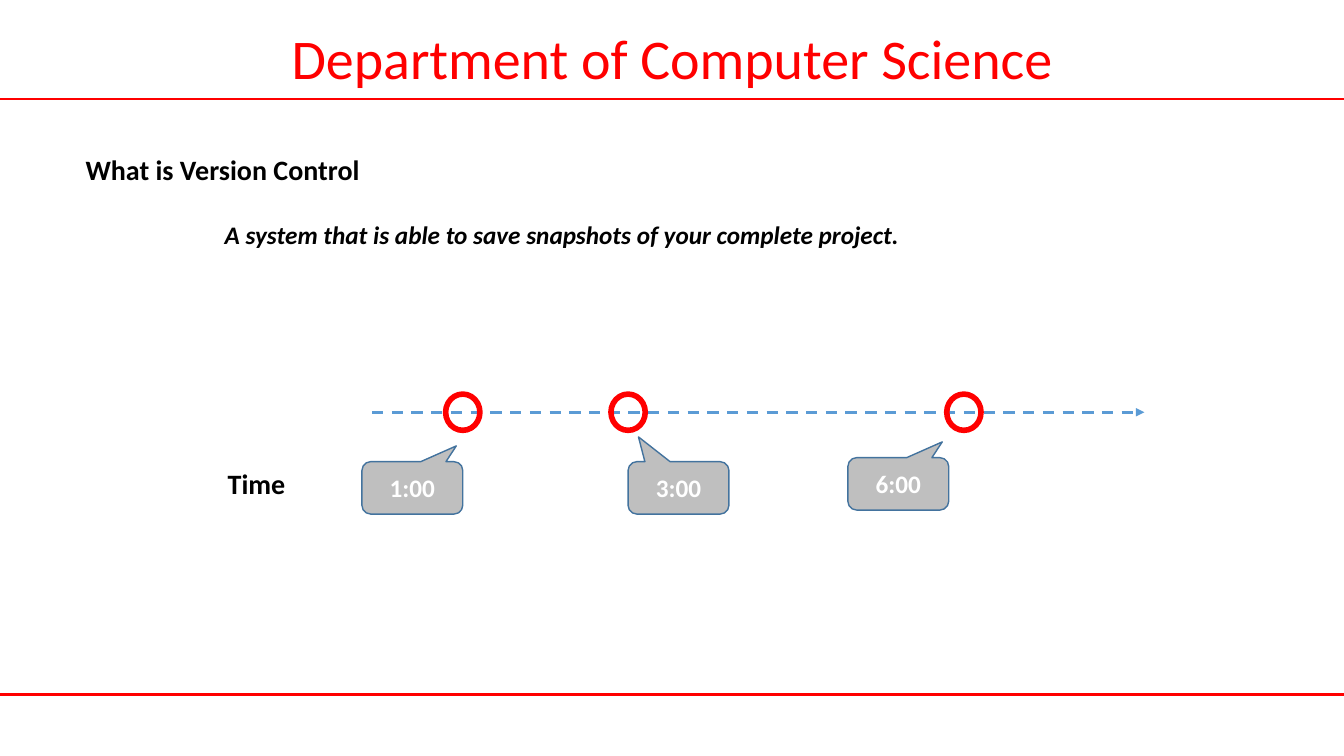
from lxml import etree
from pptx import Presentation
from pptx.dml.color import RGBColor
from pptx.enum.dml import MSO_LINE_DASH_STYLE as DASH
from pptx.enum.shapes import MSO_CONNECTOR, MSO_SHAPE
from pptx.enum.text import MSO_ANCHOR, MSO_AUTO_SIZE, PP_ALIGN
from pptx.oxml.ns import qn
from pptx.util import Inches, Pt

COLORS = {
    "red": "FF0000",
    "black": "000000",
    "white": "FFFFFF",
    "timeline": "5B9BD5",
    "callout": "BFBFBF",
    "callout_edge": "43739E",
}
PAGE_WIDTH = 13.33
TIMELINE_Y = 4.09
MARKER_WIDTH, MARKER_HEIGHT = 0.34, 0.36
POINT_LEFT = (-0.397, -0.973, 0.167)
POINT_RIGHT = (0.436, -0.801, 0.167)
# marker left, callout left, callout top, time, callout pointer
SNAPSHOTS = [
    (4.42, 3.59, 4.58, "1:00", POINT_RIGHT),
    (6.06, 6.23, 4.58, "3:00", POINT_LEFT),
    (9.39, 8.41, 4.54, "6:00", POINT_RIGHT),
]


def color(name):
    return RGBColor.from_string(COLORS[name])


def style_line(line, name, width):
    line.color.rgb = color(name)
    line.width = Pt(width)


def write(frame, text, size, name, bold=True, italic=False, align=PP_ALIGN.LEFT):
    para = frame.paragraphs[0]
    para.text = text
    para.alignment = align
    font = para.font
    font.name, font.size = "Calibri", Pt(size)
    font.bold, font.italic = bold, italic
    font.color.rgb = color(name)


def add_label(page, left, top, width, height, text, size, name="black", **style):
    box = page.shapes.add_textbox(
        Inches(left), Inches(top), Inches(width), Inches(height))
    frame = box.text_frame
    frame.word_wrap = False
    frame.auto_size = MSO_AUTO_SIZE.SHAPE_TO_FIT_TEXT
    write(frame, text, size, name, **style)


def add_horizontal(page, left, right, y, name, width):
    connector = page.shapes.add_connector(
        MSO_CONNECTOR.STRAIGHT, Inches(left), Inches(y), Inches(right), Inches(y))
    style_line(connector.line, name, width)
    etree.SubElement(connector._element.spPr, qn("a:effectLst"))
    return connector


def add_timeline(page):
    arrow = add_horizontal(page, 3.69, 11.35, TIMELINE_Y, "timeline", 2)
    arrow.line.dash_style = DASH.DASH
    etree.SubElement(arrow.line._get_or_add_ln(), qn("a:tailEnd"), type="triangle")


def add_marker(page, left):
    marker = page.shapes.add_shape(
        MSO_SHAPE.OVAL, Inches(left), Inches(TIMELINE_Y - MARKER_HEIGHT / 2),
        Inches(MARKER_WIDTH), Inches(MARKER_HEIGHT))
    marker.shadow.inherit = False
    marker.fill.background()
    style_line(marker.line, "red", 4)


def add_callout(page, left, top, time, pointer):
    callout = page.shapes.add_shape(
        MSO_SHAPE.ROUNDED_RECTANGULAR_CALLOUT,
        Inches(left), Inches(top), Inches(1), Inches(0.52))
    for index, value in enumerate(pointer):
        callout.adjustments[index] = value
    callout.shadow.inherit = False
    callout.fill.solid()
    callout.fill.fore_color.rgb = color("callout")
    style_line(callout.line, "callout_edge", 1)
    callout.text_frame.vertical_anchor = MSO_ANCHOR.MIDDLE
    write(callout.text_frame, time, 18, "white", align=PP_ALIGN.CENTER)


def main():
    deck = Presentation()
    deck.slide_width, deck.slide_height = Inches(PAGE_WIDTH), Inches(7.5)
    page = deck.slides.add_slide(deck.slide_layouts[6])

    add_label(page, 2.75, 0.18, 7.83, 0.77, "Department of Computer Science", 40,
              "red", bold=False, align=PP_ALIGN.CENTER)
    for y in (0.98, 6.89):
        add_horizontal(page, 0, PAGE_WIDTH, y, "red", 1.5)

    add_label(page, 0.75, 1.46, 2.94, 0.44, "What is Version Control", 20)
    add_label(page, 2.13, 2.13, 7.09, 0.4,
              "A system that is able to save snapshots of your complete project.",
              18, italic=True)
    add_label(page, 2.16, 4.58, 0.78, 0.44, "Time", 20)

    add_timeline(page)
    for marker_left, left, top, time, pointer in SNAPSHOTS:
        add_marker(page, marker_left)
        add_callout(page, left, top, time, pointer)

    deck.save("out.pptx")


if __name__ == "__main__":
    main()
